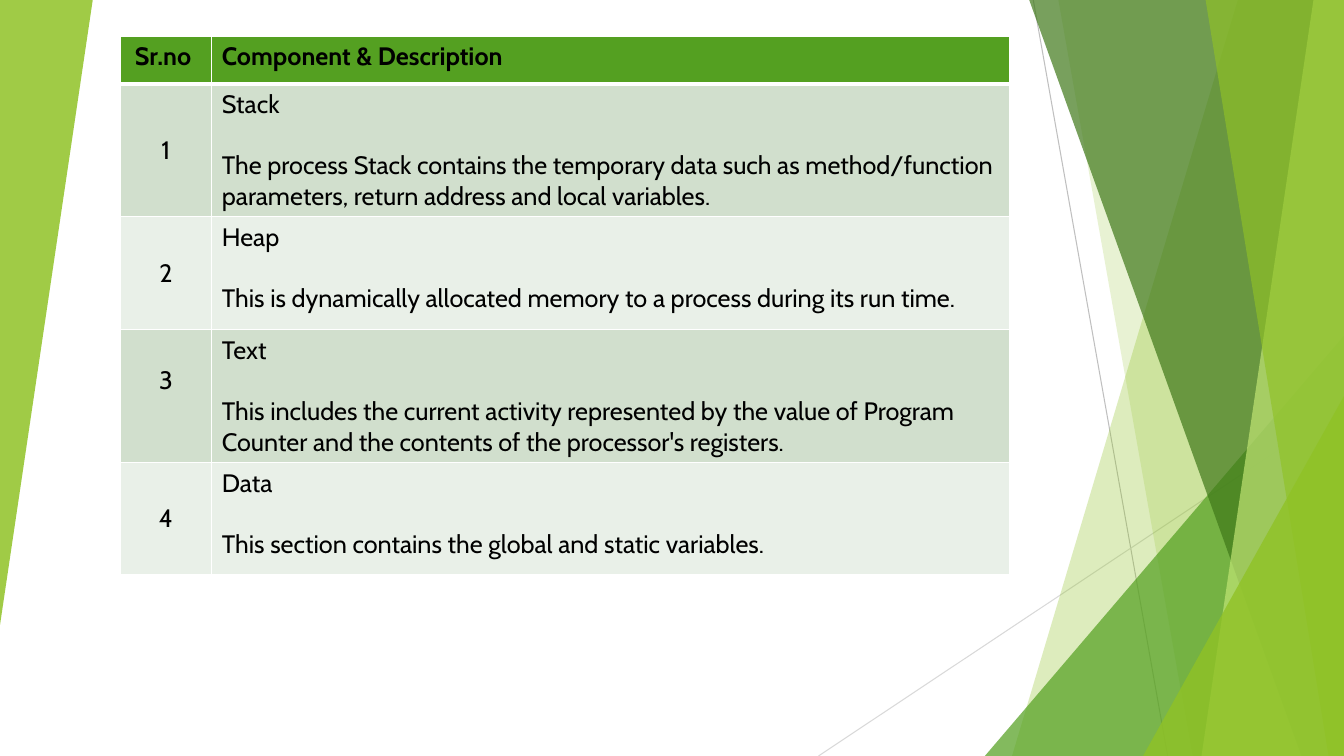
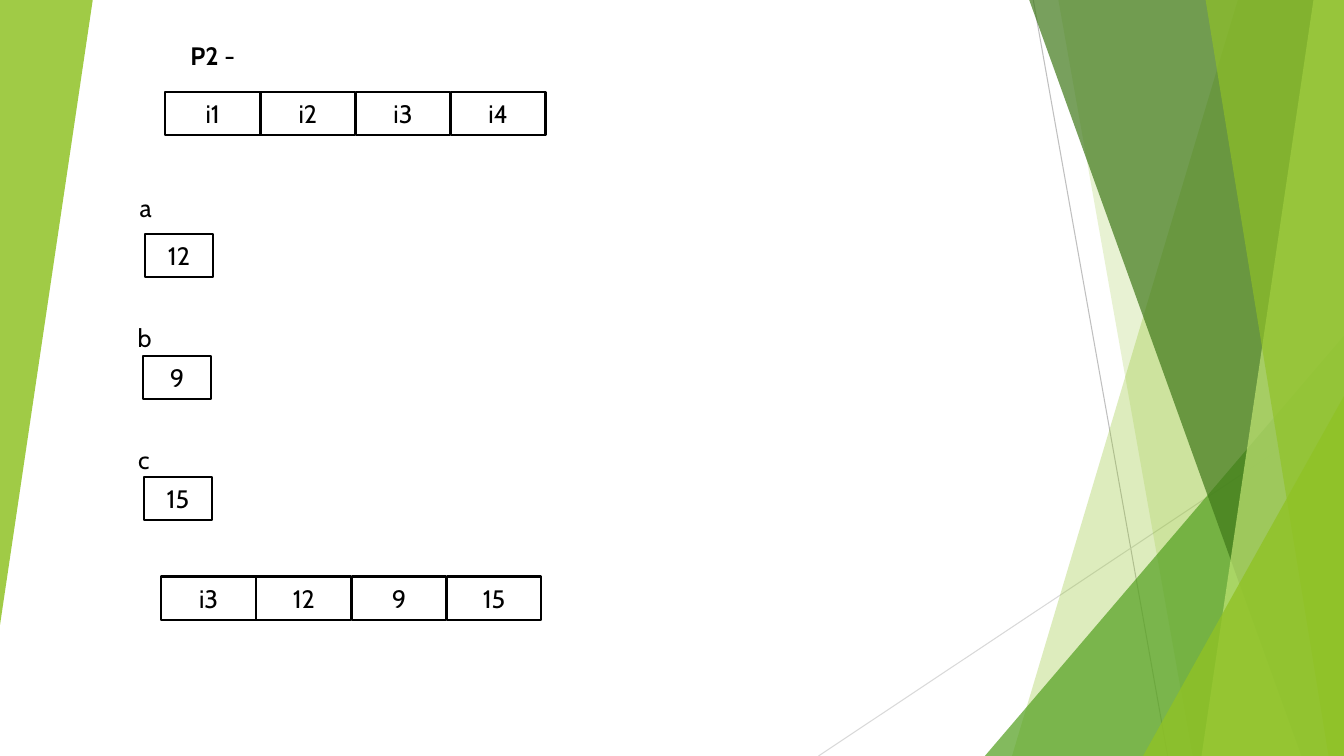
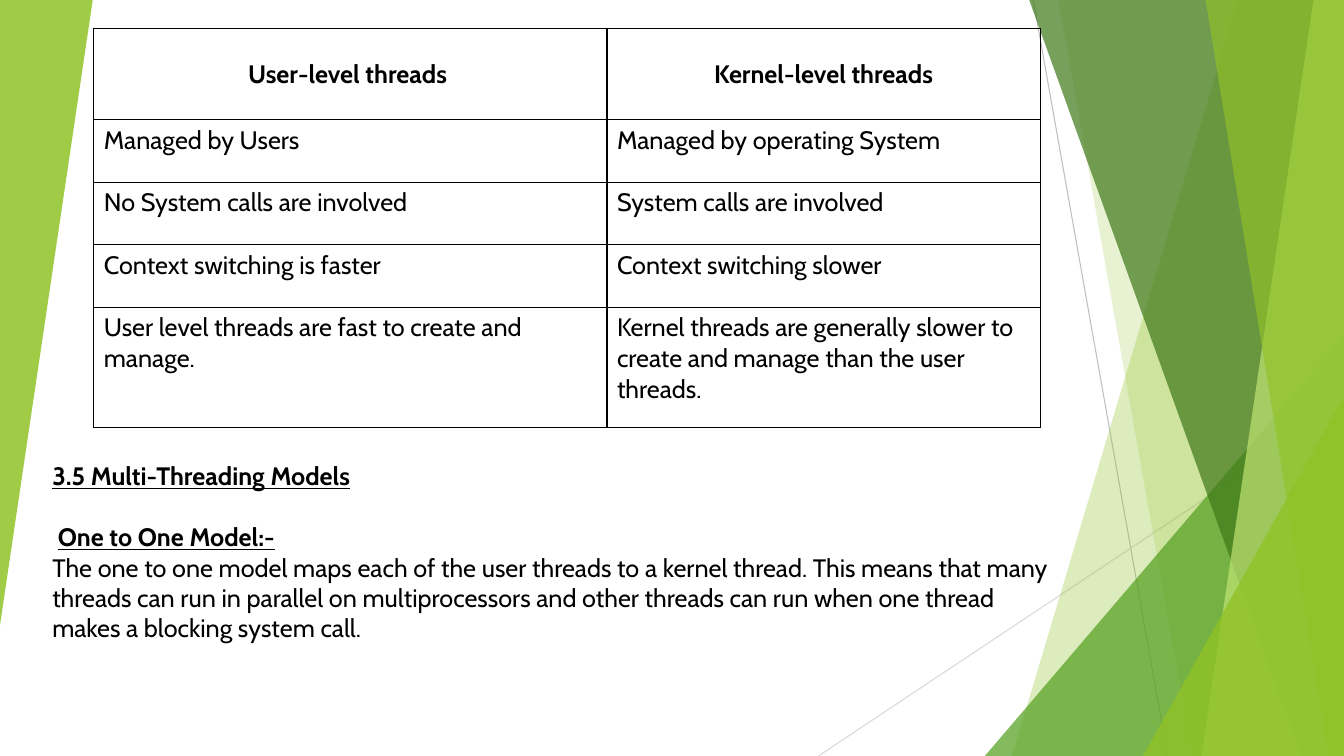
from typing import NamedTuple, Optional, Sequence

from lxml import etree
from pptx import Presentation
from pptx.dml.color import RGBColor
from pptx.enum.shapes import MSO_CONNECTOR, MSO_SHAPE
from pptx.enum.text import MSO_ANCHOR, PP_ALIGN
from pptx.oxml.ns import qn
from pptx.util import Inches, Pt

LEFT, CENTER = PP_ALIGN.LEFT, PP_ALIGN.CENTER
TOP, MIDDLE = MSO_ANCHOR.TOP, MSO_ANCHOR.MIDDLE
RECT, TRIANGLE = MSO_SHAPE.RECTANGLE, MSO_SHAPE.ISOSCELES_TRIANGLE
STRAIGHT = MSO_CONNECTOR.STRAIGHT

BLACK = RGBColor(0x00, 0x00, 0x00)
WHITE = RGBColor(0xFF, 0xFF, 0xFF)
LIME = RGBColor(0x90, 0xC2, 0x26)
PALE_LIME = RGBColor(0xC0, 0xE4, 0x74)
GREEN = RGBColor(0x54, 0xA0, 0x21)
DARK_GREEN = RGBColor(0x3F, 0x78, 0x19)
BAND_DARK = RGBColor(0xD1, 0xDF, 0xCD)
BAND_LIGHT = RGBColor(0xE9, 0xF0, 0xE8)
GRAY = RGBColor(0xBF, 0xBF, 0xBF)
LIGHT_GRAY = RGBColor(0xD9, 0xD9, 0xD9)

FONT = "Cabin"
SIZE = Pt(18)
LINE_GAP = Pt(22)
SLIDE_W, SLIDE_H = Inches(13.33), Inches(7.5)


class Box(NamedTuple):
    """Place and size in percent of the slide's width and height."""
    left: float
    top: float
    width: float
    height: float


class Run(NamedTuple):
    text: str
    bold: bool = False
    underline: bool = False


class Para(NamedTuple):
    runs: Sequence[Run]
    align: PP_ALIGN = LEFT
    gap: bool = False


class Cell(NamedTuple):
    paras: Sequence[Para]
    fill: Optional[RGBColor] = None
    anchor: MSO_ANCHOR = TOP
    drop: float = 0
    top_line: float = 1
    bottom_line: float = 1


class Ray(NamedTuple):
    start: tuple[float, float]
    end: tuple[float, float]
    color: RGBColor


class Panel(NamedTuple):
    """Band from a slanted edge to the right side of the slide."""
    top_x: float
    bottom_x: float
    color: RGBColor
    alpha: int


class Wedge(NamedTuple):
    box: Box
    color: RGBColor
    alpha: int
    rotation: int = 0


class Variable(NamedTuple):
    name: str
    value: str
    label: tuple[float, float]
    box: tuple[float, float]


BACKDROP = (
    Ray((76.88, 0), (86.88, 100), GRAY),
    Ray((100, 53.73), (60.9, 100), LIGHT_GRAY),
    Panel(92.1, 75.3, LIME, 30),
    Panel(78.75, 88.73, LIME, 20),
    Wedge(Box(73.28, 44.4, 26.72, 55.6), GREEN, 72),
    Panel(76.58, 96.83, DARK_GREEN, 70),
    Panel(97.73, 89.4, PALE_LIME, 70),
    Panel(89.7, 98.85, LIME, 65),
    Wedge(Box(85.05, 52.4, 14.95, 47.6), LIME, 80),
    Wedge(Box(0, 0, 6.9, 82.67), LIME, 85, 180),
)

COMPONENTS = (
    ("Stack", "The process Stack contains the temporary data such as "
     "method/function parameters, return address and local variables."),
    ("Heap", "This is dynamically allocated memory to a process during its run time."),
    ("Text", "This includes the current activity represented by the value of "
     "Program Counter and the contents of the processor's registers."),
    ("Data", "This section contains the global and static variables."),
)
THREAD_HEADINGS = ("User-level threads ", "Kernel-level threads")
THREAD_ROWS = (
    ("Managed by Users", "Managed by operating System"),
    ("No System calls are involved", "System calls are involved"),
    ("Context switching is faster", "Context switching slower"),
    ("User level threads are fast to create and manage.",
     "Kernel threads are generally slower to create and manage than the user threads."),
)
VARIABLES = (
    Variable("a", "12", (8.33, 25.2), (10.8, 30.93)),
    Variable("b", "9", (8.25, 42.4), (10.65, 47.07)),
    Variable("c", "15", (8.18, 58.53), (10.73, 63.07)),
)


def x(percent: float) -> int:
    return round(SLIDE_W * percent / 100)


def y(percent: float) -> int:
    return round(SLIDE_H * percent / 100)


def place(box: Box) -> tuple[int, int, int, int]:
    return x(box.left), y(box.top), x(box.width), y(box.height)


def plain(text: str, align: PP_ALIGN = LEFT, bold: bool = False, gap: bool = False) -> Para:
    return Para([Run(text, bold)], align, gap)


def write(tf, paras: Sequence[Para]) -> None:
    tf.word_wrap = True
    for i, para in enumerate(paras):
        p = tf.add_paragraph() if i else tf.paragraphs[0]
        p.alignment = para.align
        if para.gap:
            p.space_before = LINE_GAP
        for run in para.runs:
            r = p.add_run()
            r.text = run.text
            r.font.name, r.font.size = FONT, SIZE
            r.font.bold, r.font.underline = run.bold, run.underline
            r.font.color.rgb = BLACK


def tint(sp, color: RGBColor, alpha: int) -> None:
    """Give a shape a see-through fill without outline."""
    sp.shadow.inherit = False
    sp.fill.solid()
    sp.fill.fore_color.rgb = color
    sp.line.fill.background()
    clr = sp._element.spPr.find(f"{qn('a:solidFill')}/{qn('a:srgbClr')}")
    etree.SubElement(clr, qn("a:alpha"), val=str(alpha * 1000))


def add_ray(shapes, ray: Ray):
    sp = shapes.add_connector(STRAIGHT, x(ray.start[0]), y(ray.start[1]),
                              x(ray.end[0]), y(ray.end[1]))
    sp.line.color.rgb = ray.color
    sp.line.width = Pt(0.75)
    etree.SubElement(sp._element.spPr, qn("a:effectLst"))
    return sp


def add_panel(shapes, panel: Panel):
    outline = shapes.build_freeform(x(panel.top_x), 0)
    outline.add_line_segments(
        [(SLIDE_W, 0), (SLIDE_W, SLIDE_H), (x(panel.bottom_x), SLIDE_H)], close=True)
    sp = outline.convert_to_shape()
    tint(sp, panel.color, panel.alpha)
    return sp


def add_wedge(shapes, wedge: Wedge):
    sp = shapes.add_shape(TRIANGLE, *place(wedge.box))
    sp.adjustments[0] = 1
    sp.rotation = wedge.rotation
    tint(sp, wedge.color, wedge.alpha)
    return sp


def build_backdrop(layout, slide) -> None:
    """Draw the backdrop on a slide, then move it to the layout all slides use."""
    for placeholder in list(layout.placeholders):
        layout.shapes._spTree.remove(placeholder._element)
    draw = {Ray: add_ray, Panel: add_panel, Wedge: add_wedge}
    for part in BACKDROP:
        sp = draw[type(part)](slide.shapes, part)
        layout.shapes._spTree.append(sp._element)


def add_box(slide, box: Box, runs: Sequence[Run], line: RGBColor = BLACK) -> None:
    sp = slide.shapes.add_shape(RECT, *place(box))
    sp.shadow.inherit = False
    sp.fill.solid()
    sp.fill.fore_color.rgb = WHITE
    sp.line.color.rgb = line
    sp.line.width = Pt(1.5)
    sp.text_frame.vertical_anchor = MIDDLE
    write(sp.text_frame, [Para(runs, CENTER)])


def add_strip(slide, left: float, top: float, labels: Sequence[str]) -> None:
    """Draw a row of touching boxes."""
    for i, label in enumerate(labels):
        add_box(slide, Box(left + i * 7.08, top, 7.05, 5.73), [Run(label)])


def set_border(cell, side: str, color: RGBColor, width: float) -> None:
    ln = etree.SubElement(cell._tc.get_or_add_tcPr(), qn(f"a:ln{side}"), w=str(Pt(width)))
    fill = etree.SubElement(ln, qn("a:solidFill"))
    etree.SubElement(fill, qn("a:srgbClr"), val=str(color))


def add_grid(slide, left: float, top: float, cols: Sequence[float], heights: Sequence[float],
             rows: Sequence[Sequence[Cell]], border: RGBColor) -> None:
    frame = slide.shapes.add_table(
        len(rows), len(cols), *place(Box(left, top, sum(cols), sum(heights))))
    table = frame.table
    table.first_row = table.horz_banding = False
    for column, width in zip(table.columns, cols):
        column.width = x(width)
    for r, (height, row) in enumerate(zip(heights, rows)):
        table.rows[r].height = y(height)
        for c, content in enumerate(row):
            cell = table.cell(r, c)
            for side, width in zip("LRTB", (1, 1, content.top_line, content.bottom_line)):
                set_border(cell, side, border, width)
            if content.fill is None:
                cell.fill.background()
            else:
                cell.fill.solid()
                cell.fill.fore_color.rgb = content.fill
            cell.vertical_anchor = content.anchor
            cell.margin_top = Inches(0.05) + y(content.drop)
            write(cell.text_frame, content.paras)


def build_components(slide) -> None:
    rows = [[Cell([plain("Sr.no ", CENTER, True)], GREEN, bottom_line=3),
             Cell([plain("Component & Description", bold=True)], GREEN, bottom_line=3)]]
    for number, (name, description) in enumerate(COMPONENTS, 1):
        fill = BAND_DARK if number % 2 else BAND_LIGHT
        top_line = 3 if number == 1 else 1
        anchor, drop = (TOP, 4.07) if number == 3 else (MIDDLE, 0)
        rows.append([
            Cell([plain(str(number), CENTER)], fill, anchor, drop, top_line),
            Cell([plain(name), plain(description, gap=True)], fill, top_line=top_line)])
    add_grid(slide, 8.93, 4.8, (6.83, 59.33), (6.27, 14.93, 14.93, 14.93, 14.8), rows, WHITE)


def build_process(slide) -> None:
    add_box(slide, Box(10.73, 5.07, 10.2, 4.4), [Run("P2", True), Run(" -")], WHITE)
    add_strip(slide, 12.3, 12.13, ("i1", "i2", "i3", "i4"))
    for var in VARIABLES:
        add_box(slide, Box(*var.label, 5.03, 4.47), [Run(var.name)], WHITE)
        add_box(slide, Box(*var.box, 5.03, 5.73), [Run(var.value)])
    add_strip(slide, 12, 76.27, ("i3", *(var.value for var in VARIABLES)))


def build_threads(slide) -> None:
    rows = [[Cell([plain(t, CENTER, True)], anchor=MIDDLE) for t in THREAD_HEADINGS]]
    rows += [[Cell([plain(t)]) for t in row] for row in THREAD_ROWS]
    add_grid(slide, 6.98, 3.73, (38.18, 32.25), (12.13, 8.27, 8.27, 8.27, 15.87), rows, BLACK)
    note = slide.shapes.add_textbox(*place(Box(3.15, 60.27, 75.83, 25.6)))
    write(note.text_frame, [
        Para([Run("3.5 Multi-Threading Models", True, True)]),
        Para([Run(" "), Run("One to One Model:-", True, True)], gap=True),
        plain("The one to one model maps each of the user threads to a kernel thread. "
              "This means that many threads can run in parallel on multiprocessors and "
              "other threads can run when one thread makes a blocking system call."),
    ])


def main() -> None:
    prs = Presentation()
    prs.slide_width, prs.slide_height = SLIDE_W, SLIDE_H
    blank = prs.slide_layouts[6]
    builders = (build_components, build_process, build_threads)
    slides = [prs.slides.add_slide(blank) for _ in builders]
    build_backdrop(blank, slides[0])
    for build, slide in zip(builders, slides):
        build(slide)
    prs.save("out.pptx")


if __name__ == "__main__":
    main()
